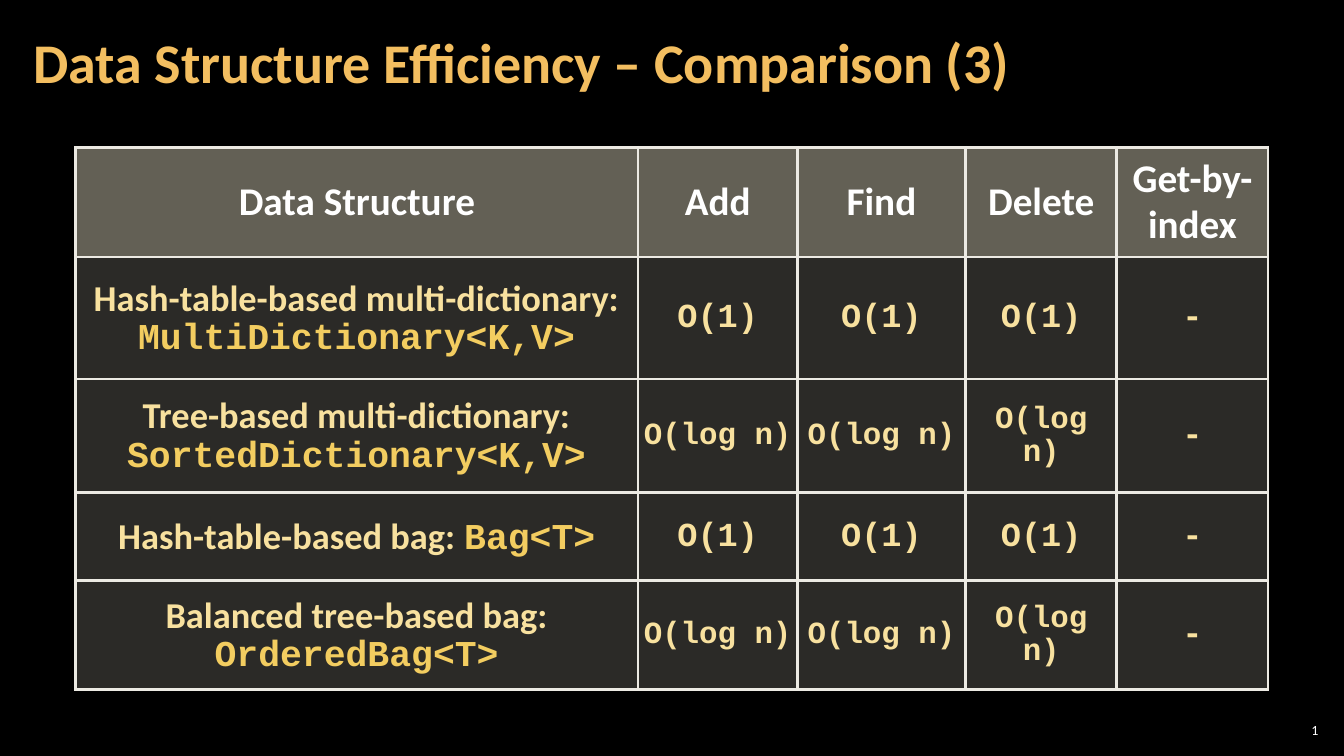
from lxml import etree
from pptx import Presentation
from pptx.dml.color import RGBColor
from pptx.enum.text import MSO_ANCHOR, MSO_AUTO_SIZE, PP_ALIGN
from pptx.oxml.ns import qn
from pptx.util import Pt

LEFT, CENTER, RIGHT = PP_ALIGN.LEFT, PP_ALIGN.CENTER, PP_ALIGN.RIGHT
MIDDLE = MSO_ANCHOR.MIDDLE
NO_AUTOFIT = MSO_AUTO_SIZE.NONE

BLACK = RGBColor(0x00, 0x00, 0x00)
WHITE = RGBColor(0xFF, 0xFF, 0xFF)
ORANGE = RGBColor(0xF3, 0xBE, 0x60)
CREAM = RGBColor(0xF8, 0xE1, 0x9F)
GOLD = RGBColor(0xF3, 0xCD, 0x60)
BORDER = RGBColor(0xEC, 0xEA, 0xE3)
HEADER_FILL = RGBColor(0xC6, 0xC0, 0xAA)
BODY_FILL = RGBColor(0xD9, 0xD5, 0xC7)

SANS, MONO = "Calibri", "Courier New"
COLUMN_WIDTHS = [401.76, 113.76, 120.24, 108, 108]
ROW_HEIGHTS = [78.48, 87.12, 81.36, 62.64, 77.76]
HEADERS = ["Data Structure", "Add", "Find", "Delete", "Get-by-index"]
STRUCTURES = [
    ("Hash-table-based multi-dictionary: ", "MultiDictionary<K,V>", "O(1)"),
    ("Tree-based multi-dictionary: ", "SortedDictionary<K,V>", "O(log n)"),
    ("Hash-table-based bag: ", "Bag<T>", "O(1)"),
    ("Balanced tree-based bag: ", "OrderedBag<T>", "O(log n)"),
]


def add_text(p, text, *, size, color, font=SANS, bold=True, align=CENTER, spacing=0.95):
    p.alignment = align
    p.line_spacing = spacing
    r = p.add_run()
    r.text = text
    r.font.name = font
    r.font.size = Pt(size)
    r.font.bold = bold
    r.font.color.rgb = color
    return r


def set_frame(tf, side, edge):
    tf.word_wrap = True
    tf.auto_size = NO_AUTOFIT
    tf.vertical_anchor = MIDDLE
    tf.margin_left = tf.margin_right = Pt(side)
    tf.margin_top = tf.margin_bottom = Pt(edge)


def add_title(s, text):
    sp = s.shapes.title
    sp.left, sp.top, sp.width, sp.height = Pt(15.12), Pt(2.88), Pt(753.84), Pt(87.12)
    set_frame(sp.text_frame, 8.64, 2.88)
    add_text(sp.text_frame.paragraphs[0], text, size=40, color=ORANGE, align=LEFT, spacing=0.9)


def add_slide_number(s, number):
    sp = s.shapes.add_textbox(Pt(910.8), Pt(514.08), Pt(33.84), Pt(15.12))
    set_frame(sp.text_frame, 2.88, 2.88)
    r = add_text(sp.text_frame.paragraphs[0], number, size=10, color=WHITE,
                 bold=False, align=RIGHT, spacing=1.0)
    field = r._r
    field.tag = qn("a:fld")
    field.set("id", "{B6F15528-21DE-4FAA-801E-634DDDAF4B2B}")
    field.set("type", "slidenum")


def style_cell(cell, fill, opacity, side=7.2):
    cell.vertical_anchor = MIDDLE
    cell.margin_left = cell.margin_right = Pt(side)
    cell.margin_top = cell.margin_bottom = Pt(3.6)
    tcPr = cell._tc.get_or_add_tcPr()
    for edge in ("a:lnL", "a:lnR", "a:lnT", "a:lnB"):
        line = etree.SubElement(tcPr, qn(edge), w=str(Pt(2.25)))
        solid = etree.SubElement(line, qn("a:solidFill"))
        etree.SubElement(solid, qn("a:srgbClr"), val=str(BORDER))
    cell.fill.solid()
    cell.fill.fore_color.rgb = fill
    color = tcPr.find(qn("a:solidFill")).find(qn("a:srgbClr"))
    etree.SubElement(color, qn("a:alpha"), val=str(opacity * 1000))


def add_comparison_table(s):
    frame = s.shapes.add_table(len(ROW_HEIGHTS), len(COLUMN_WIDTHS), Pt(54), Pt(105.12),
                               Pt(sum(COLUMN_WIDTHS)), Pt(sum(ROW_HEIGHTS)))
    table = frame.table
    for column, width in zip(table.columns, COLUMN_WIDTHS):
        column.width = Pt(width)
    for row, height in zip(table.rows, ROW_HEIGHTS):
        row.height = Pt(height)

    for col, header in enumerate(HEADERS):
        cell = table.cell(0, col)
        style_cell(cell, HEADER_FILL, 50)
        add_text(cell.text_frame.paragraphs[0], header, size=28, color=WHITE)

    for row, (label, class_name, cost) in enumerate(STRUCTURES, 1):
        cell = table.cell(row, 0)
        style_cell(cell, BODY_FILL, 20)
        p = cell.text_frame.paragraphs[0]
        add_text(p, label, size=26, color=CREAM)
        add_text(p, class_name, size=26, color=GOLD, font=MONO)
        is_log = cost != "O(1)"
        for col, value in enumerate([cost] * 3 + ["-"], 1):
            cell = table.cell(row, col)
            style_cell(cell, BODY_FILL, 20, side=2.88 if is_log else 7.2)
            size = 22 if is_log and value == cost else 24
            add_text(cell.text_frame.paragraphs[0], value, size=size, color=CREAM, font=MONO)


def main():
    prs = Presentation()
    prs.slide_width, prs.slide_height = Pt(960), Pt(540)
    s = prs.slides.add_slide(prs.slide_layouts[5])
    s.background.fill.solid()
    s.background.fill.fore_color.rgb = BLACK
    add_title(s, "Data Structure Efficiency – Comparison (3)")
    add_comparison_table(s)
    add_slide_number(s, "6")
    prs.save("out.pptx")


if __name__ == "__main__":
    main()
